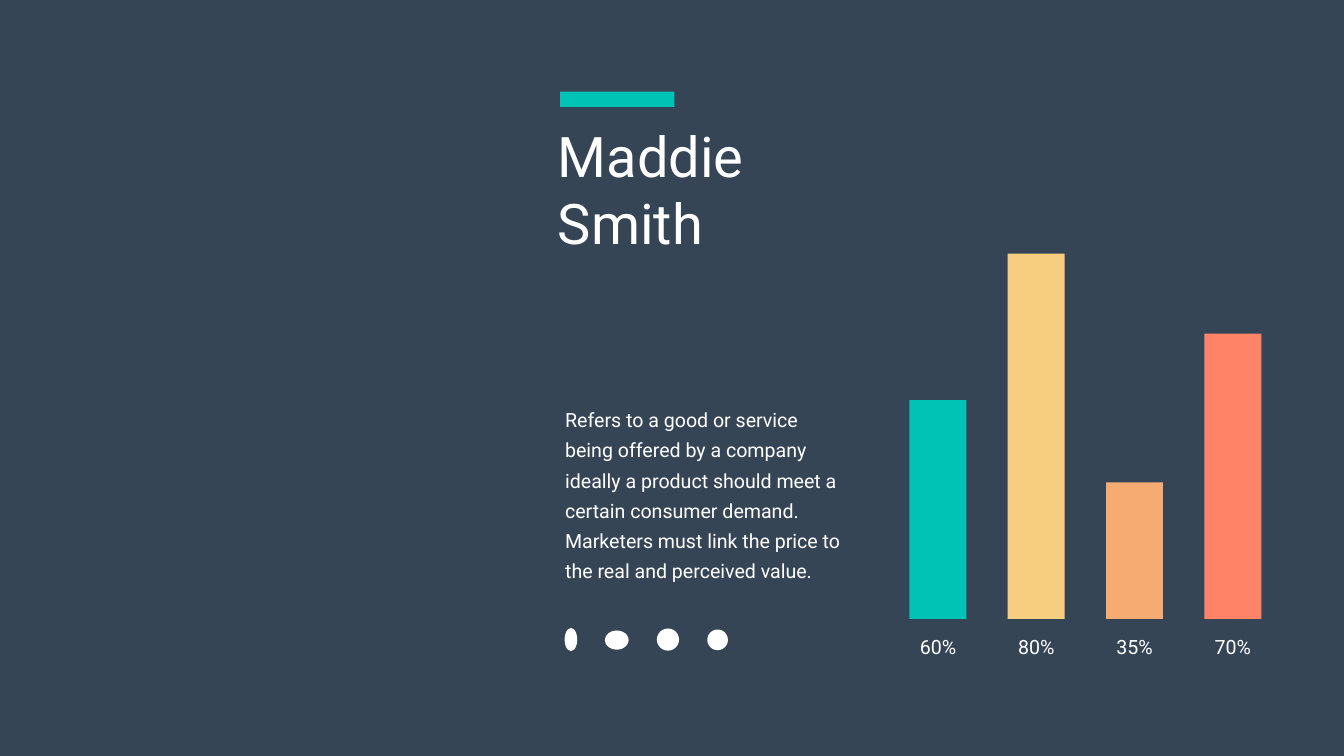
from pptx import Presentation
from pptx.dml.color import RGBColor
from pptx.enum.shapes import MSO_SHAPE
from pptx.enum.text import MSO_AUTO_SIZE, PP_ALIGN
from pptx.util import Inches, Pt

RECT = MSO_SHAPE.RECTANGLE
OVAL = MSO_SHAPE.OVAL
GROW = MSO_AUTO_SIZE.SHAPE_TO_FIT_TEXT
LEFT = PP_ALIGN.LEFT
CENTER = PP_ALIGN.CENTER

NAVY = RGBColor(0x36, 0x45, 0x56)
TEAL = RGBColor(0x00, 0xC2, 0xB5)
GOLD = RGBColor(0xF7, 0xCD, 0x7F)
PEACH = RGBColor(0xF6, 0xAB, 0x72)
CORAL = RGBColor(0xFF, 0x84, 0x67)
WHITE = RGBColor(0xFF, 0xFF, 0xFF)

WIDE, HIGH = 26.66, 15
BASE = 12.28
FIRST, STEP, BAR = 18.04, 1.95, 1.13
LABEL = 1.46
BARS = [("60%", 4.34, TEAL), ("80%", 7.25, GOLD), ("35%", 2.71, PEACH), ("70%", 5.66, CORAL)]
ICONS = [(11.2, 12.46, 0.25, 0.46), (12, 12.51, 0.47, 0.38),
         (13.03, 12.47, 0.44, 0.44), (14.03, 12.49, 0.41, 0.41)]
ABOUT = ("Refers to a good or service being offered by a company ideally a product "
         "should meet a certain consumer demand. Marketers must link the price to "
         "the real and perceived value.")


class Page:
    """Holds the text style and the current slide, and draws on it."""

    font = "Roboto"
    ink = WHITE

    def __init__(self, slide):
        self.slide = slide

    def block(self, x, y, w, h, fill, kind=RECT):
        shape = self.slide.shapes.add_shape(kind, Inches(x), Inches(y), Inches(w), Inches(h))
        shape.shadow.inherit = False
        shape.fill.solid()
        shape.fill.fore_color.rgb = fill
        shape.line.fill.background()

    def text(self, x, y, w, h, words, size=28, align=LEFT, pad=(0.1, 0.05), pitch=None):
        box = self.slide.shapes.add_textbox(Inches(x), Inches(y), Inches(w), Inches(h))
        frame = box.text_frame
        frame.word_wrap = True
        frame.auto_size = GROW
        frame.margin_left = frame.margin_right = Inches(pad[0])
        frame.margin_top = frame.margin_bottom = Inches(pad[1])
        para = frame.paragraphs[0]
        para.alignment = align
        if pitch:
            para.line_spacing = Pt(pitch)
        run = para.add_run()
        run.text = words
        run.font.name = self.font
        run.font.size = Pt(size)
        run.font.color.rgb = self.ink


def main():
    deck = Presentation()
    deck.slide_width, deck.slide_height = Inches(WIDE), Inches(HIGH)
    page = Page(deck.slides.add_slide(deck.slide_layouts[6]))

    page.block(0, 0, WIDE, HIGH, NAVY)
    for i, (label, tall, fill) in enumerate(BARS):
        x = FIRST + i * STEP
        page.block(x, BASE - tall, BAR, tall, fill)
        page.text(x + (BAR - LABEL) / 2, 12.55, LABEL, 0.57, label, align=CENTER)

    page.text(10.97, 7.85, 5.96, 3.81, ABOUT, pad=(0.24, 0.12), pitch=43)
    for icon in ICONS:
        page.block(*icon, WHITE, OVAL)
    page.text(10.97, 2.36, 5.49, 2.79, "Maddie Smith", size=80)
    page.block(11.11, 1.82, 2.27, 0.3, TEAL)

    deck.save("out.pptx")


if __name__ == "__main__":
    main()
